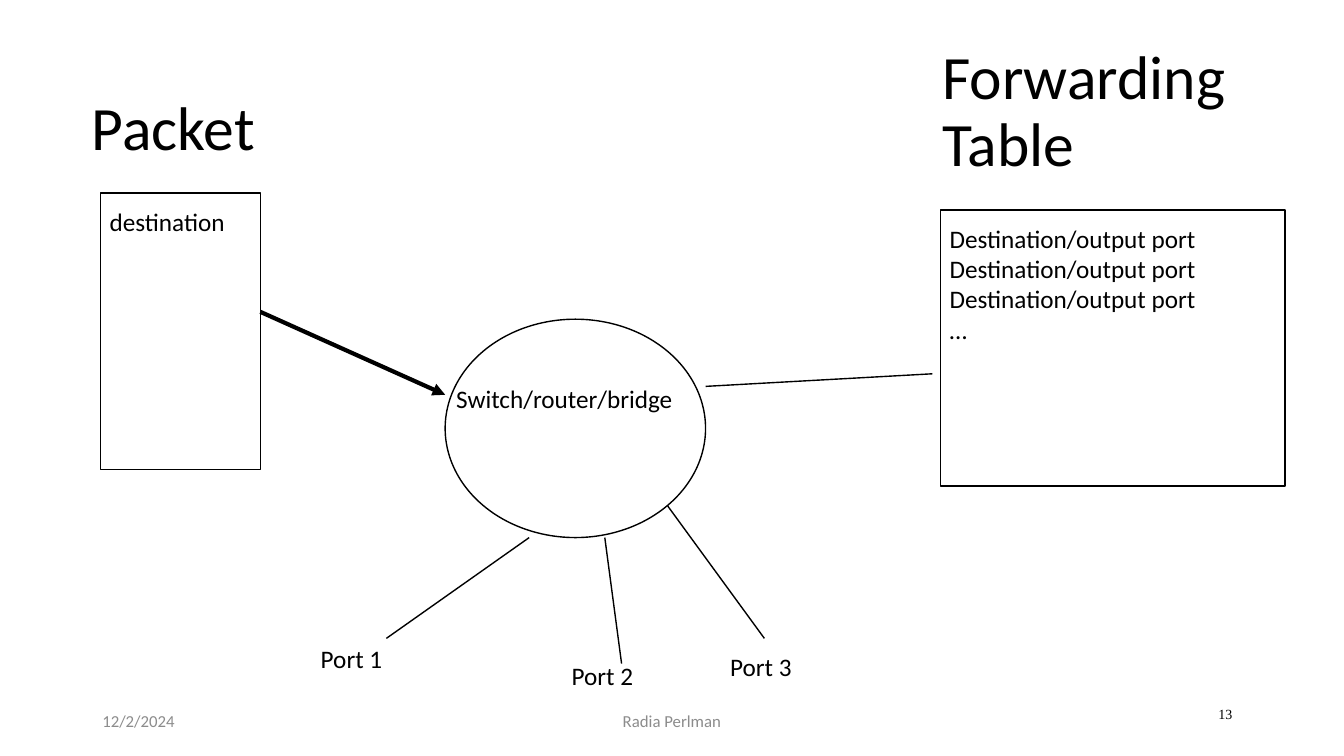
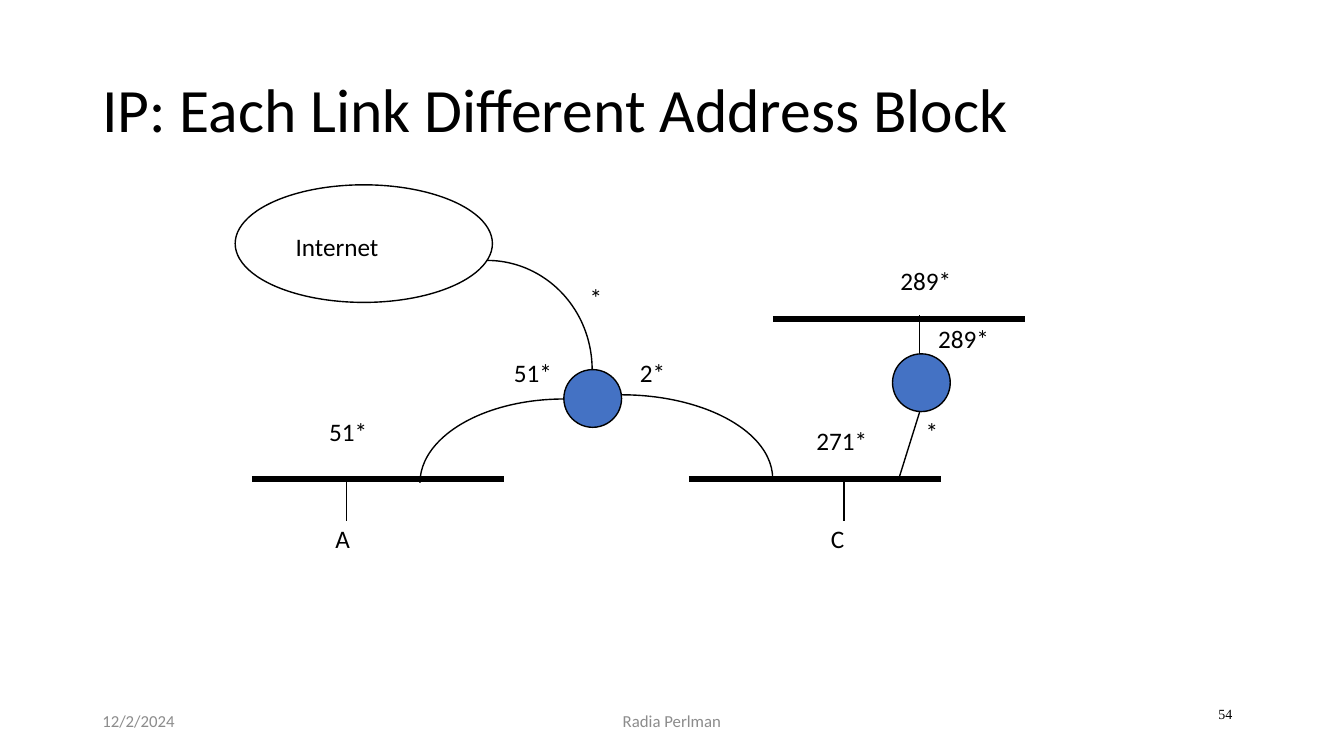
from pptx import Presentation
from pptx.dml.color import RGBColor
from pptx.enum.shapes import MSO_CONNECTOR, MSO_SHAPE
from pptx.enum.text import MSO_ANCHOR as ANCHOR, PP_ALIGN as ALIGN
from pptx.oxml.ns import qn
from pptx.util import Emu, Pt
from lxml.etree import SubElement

BLACK, GREY, BLUE = "000000", "8C8C8C", "4472C4"
EMU_PER_PX = 9525
# Start and end angles of a quarter arc, in 100000ths of the preset's unit
QUARTERS = {"top right": (162, 0), "top left": (108, 162)}


def px(n):
    return Emu(n * EMU_PER_PX)


def rgb(hex_string):
    return RGBColor.from_string(hex_string)


class Deck:
    font = "Calibri"

    def __init__(self, width, height):
        self.prs = Presentation()
        self.prs.slide_width, self.prs.slide_height = px(width), px(height)

    def add_slide(self, number):
        """Start a slide with its date, author and page number."""
        self.shapes = self.prs.slides.add_slide(self.prs.slide_layouts[6]).shapes
        footer = dict(h=38, size=12, color=GREY, anchor=ANCHOR.MIDDLE)
        self.text("12/2/2024", 88, 667, w=288, **footer)
        self.text("Radia Perlman", 424, 667, w=432, align=ALIGN.CENTER, **footer)
        self.text(str(number), 906, 656, w=277, size=10, align=ALIGN.RIGHT,
                  font="Times New Roman", anchor=ANCHOR.MIDDLE)

    def text(self, text, x, y, w=98, h=48, size=18, color=BLACK, font=None,
             align=ALIGN.LEFT, anchor=ANCHOR.TOP, spacing=None):
        """Add a text box with one paragraph per line of text."""
        tf = self.shapes.add_textbox(px(x), px(y), px(w), px(h)).text_frame
        tf.word_wrap, tf.vertical_anchor = True, anchor
        tf.text = text
        for p in tf.paragraphs:
            p.alignment, p.line_spacing = align, spacing
            for r in p.runs:
                r.font.name, r.font.size = font or self.font, Pt(size)
                r.font.color.rgb = rgb(color)

    def title(self, text, x, y, w):
        self.text(text, x, y, w=w, h=139, size=44, anchor=ANCHOR.MIDDLE, spacing=0.9)

    def shape(self, kind, x, y, w, h, fill=None):
        sp = self.shapes.add_shape(kind, px(x), px(y), px(w), px(h))
        sp.shadow.inherit = False
        if fill:
            sp.fill.solid()
            sp.fill.fore_color.rgb = rgb(fill)
        else:
            sp.fill.background()
        sp.line.color.rgb, sp.line.width = rgb(BLACK), Pt(1)
        return sp

    def router(self, x, y):
        self.shape(MSO_SHAPE.OVAL, x, y, 55, 55, fill=BLUE)

    def arc(self, quarter, cx, y, rx, ry):
        """Draw a quarter of the ellipse centred on cx with its top at y."""
        sp = self.shape(MSO_SHAPE.ARC, cx - rx, y, 2 * rx, 2 * ry)
        sp.adjustments[0], sp.adjustments[1] = QUARTERS[quarter]

    def line(self, x1, y1, x2, y2, width=1, arrow=False):
        cxn = self.shapes.add_connector(MSO_CONNECTOR.STRAIGHT,
                                        px(x1), px(y1), px(x2), px(y2))
        cxn.line.color.rgb, cxn.line.width = rgb(BLACK), Pt(width)
        if arrow:
            SubElement(cxn.line._get_or_add_ln(), qn("a:tailEnd"), type="triangle")
        SubElement(cxn._element.spPr, qn("a:effectLst"))

    def link(self, x, y):
        """Draw a shared network link as a thick bar."""
        self.line(x, y, x + 240, y, width=4)


def forwarding_slide(deck):
    deck.add_slide(13)
    deck.title("Packet", 78, 55, 304)
    deck.title("Forwarding Table", 888, 38, 304)

    deck.shape(MSO_SHAPE.RECTANGLE, 96, 184, 152, 263)
    deck.text("destination", 95, 192, w=161)
    deck.shape(MSO_SHAPE.RECTANGLE, 896, 200, 328, 263)
    rows = ["Destination/output port"] * 3 + ["…"]
    deck.text("\n".join(rows), 895, 208, w=348, h=165)

    deck.shape(MSO_SHAPE.OVAL, 424, 304, 248, 208)
    deck.text("Switch/router/bridge", 425, 360, w=247)
    deck.line(248, 297, 424, 376, width=3, arrow=True)
    deck.line(672, 368, 888, 356)

    ports = [((504, 512, 368, 608), (296, 608)),
             ((576, 512, 592, 632), (535, 624)),
             ((636, 482, 728, 608), (686, 616))]
    for number, (wire, label) in enumerate(ports, 1):
        deck.line(*wire)
        deck.text(f"Port {number}", *label)


def address_slide(deck):
    deck.add_slide(54)
    deck.title("IP: Each Link Different Address Block", 88, 38, 1104)

    deck.shape(MSO_SHAPE.OVAL, 224, 176, 245, 112)
    deck.text("Internet", 272, 216, w=120)

    for x, y in [(240, 456), (656, 456), (736, 304)]:
        deck.link(x, y)
    for host, x, label_x in [("A", 330, 310), ("C", 804, 782)]:
        deck.line(x, 456, x, 496)
        deck.text(host, label_x, 494, w=43)

    deck.arc("top right", 464, 248, 100, 104)
    deck.arc("top right", 592, 376, 144, 80)
    deck.arc("top left", 537, 380, 137, 80)
    deck.line(876, 300, 876, 337)
    deck.line(876, 392, 856, 456)
    deck.router(537, 352)
    deck.router(850, 337)

    prefixes = [("*", 552, 264), ("51*", 480, 336), ("2*", 600, 336),
                ("51*", 304, 392), ("271*", 768, 400), ("289*", 848, 248),
                ("289*", 884, 303), ("*", 872, 392)]
    for prefix, x, y in prefixes:
        deck.text(prefix, x, y, w=84)


def main():
    deck = Deck(1280, 720)
    forwarding_slide(deck)
    address_slide(deck)
    deck.prs.save("out.pptx")


if __name__ == "__main__":
    main()
